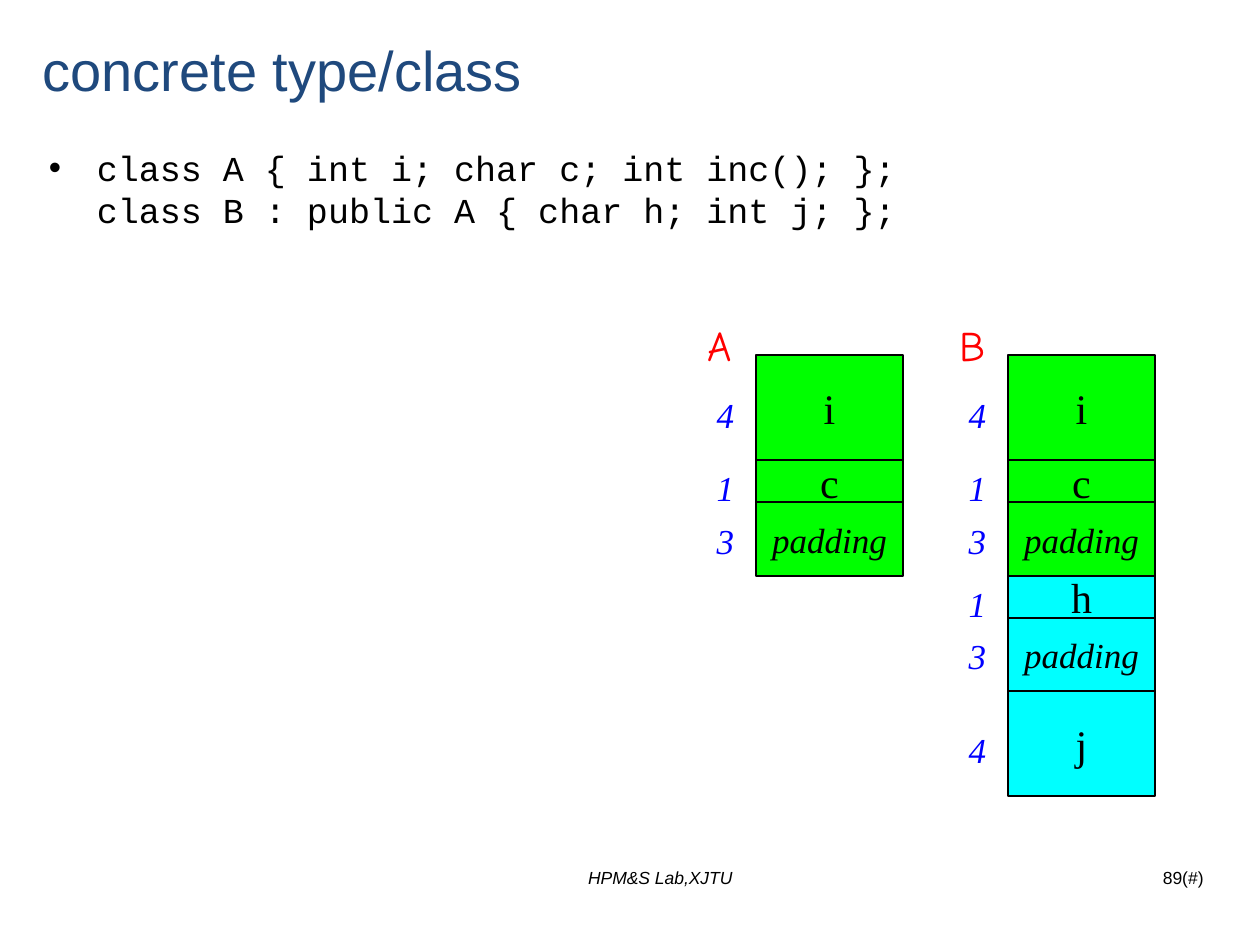
from lxml import etree
from pptx import Presentation
from pptx import util as u
from pptx.dml.color import RGBColor
from pptx.enum import shapes, text
from pptx.oxml.ns import qn

UNIT = 1 / 12
TOP = 2.82
CELL_WIDTH = 14 * UNIT
ROW_UNITS = {4: 10, 1: 4, 3: 7}
LABEL_DROP = {4: 3, 1: 0, 3: 1}
GREEN, CYAN, BLUE, RED, BLACK, NAVY = "00FF00", "00FFFF", "0000FF", "FF0000", "000000", "1F497D"
SERIF = "Times New Roman"
FIELDS_A = [(4, "i", GREEN), (1, "c", GREEN), (3, "padding", GREEN)]
FIELDS_B = FIELDS_A + [(1, "h", CYAN), (3, "padding", CYAN), (4, "j", CYAN)]


def color(value):
    return RGBColor.from_string(value)


def write(shape, content, size, font, ink, italic=False, align=text.PP_ALIGN.LEFT):
    paragraph = shape.text_frame.paragraphs[0]
    paragraph.text = content
    paragraph.alignment = align
    for run in paragraph.runs:
        run.font.size = u.Pt(size)
        run.font.name = font
        run.font.italic = italic
        run.font.color.rgb = color(ink)
    return paragraph


def add_text(slide, box, content, size, font, ink, wrap=True, **style):
    shape = slide.shapes.add_textbox(*map(u.Inches, box))
    shape.text_frame.word_wrap = wrap
    if not wrap:
        shape.text_frame.auto_size = text.MSO_AUTO_SIZE.SHAPE_TO_FIT_TEXT
    write(shape, content, size, font, ink, **style)
    return shape


def add_bullet(paragraph, indent):
    properties = paragraph._p.get_or_add_pPr()
    properties.set("marL", str(u.Inches(indent)))
    properties.set("indent", str(-u.Inches(indent)))
    etree.SubElement(properties, qn("a:buFont")).set("typeface", "Arial")
    etree.SubElement(properties, qn("a:buChar")).set("char", "•")


def add_code(slide, box, code):
    shape = add_text(slide, box, code, 20, "Courier New", BLACK)
    shape.text_frame.margin_top = u.Inches(0.09)
    paragraph = shape.text_frame.paragraphs[0]
    paragraph.line_spacing = u.Pt(24)
    add_bullet(paragraph, 0.38)


def add_cell(slide, box, name, fill):
    cell = slide.shapes.add_shape(shapes.MSO_SHAPE.RECTANGLE, *map(u.Inches, box))
    cell.shadow.inherit = False
    cell.fill.solid()
    cell.fill.fore_color.rgb = color(fill)
    cell.line.color.rgb = color(BLACK)
    cell.line.width = u.Pt(1)
    cell.text_frame.word_wrap = False
    cell.text_frame.vertical_anchor = text.MSO_ANCHOR.MIDDLE
    padding = name == "padding"
    write(cell, name, 20 if padding else 24, SERIF, BLACK, padding, text.PP_ALIGN.CENTER)


def add_layout(slide, left, name, fields):
    add_text(slide, (left - 0.48, TOP - 0.33, 0.4, 0.5), name, 24, "Comic Neue", RED, wrap=False)
    top = TOP
    for size, field, fill in fields:
        height = ROW_UNITS[size] * UNIT
        add_cell(slide, (left, top, CELL_WIDTH, height), field, fill)
        label_top = top + LABEL_DROP[size] * UNIT
        add_text(slide, (left - 0.41, label_top, 0.34, 0.44), str(size), 20, SERIF, BLUE,
                 wrap=False, italic=True)
        top += height


def main():
    presentation = Presentation()
    presentation.slide_width = u.Inches(10)
    presentation.slide_height = u.Inches(7.5)
    slide = presentation.slides.add_slide(presentation.slide_layouts[6])
    add_text(slide, (3.35, 6.83, 3.78, 0.52), "HPM&S Lab,XJTU", 10, "Arial", BLACK,
             italic=True, align=text.PP_ALIGN.CENTER)
    add_text(slide, (7.73, 6.83, 1.92, 0.52), "89(#)", 10, "Arial", BLACK,
             align=text.PP_ALIGN.RIGHT)
    title = add_text(slide, (0.24, 0.25, 9.49, 0.59), "concrete type/class", 32, "Arial", NAVY)
    title.text_frame.vertical_anchor = text.MSO_ANCHOR.MIDDLE
    add_code(slide, (0.29, 1.07, 9.44, 5.59),
             "class A { int i; char c; int inc(); };\vclass B : public A { char h; int j; };")
    add_layout(slide, 6, "A", FIELDS_A)
    add_layout(slide, 8, "B", FIELDS_B)
    presentation.save("out.pptx")


if __name__ == "__main__":
    main()
